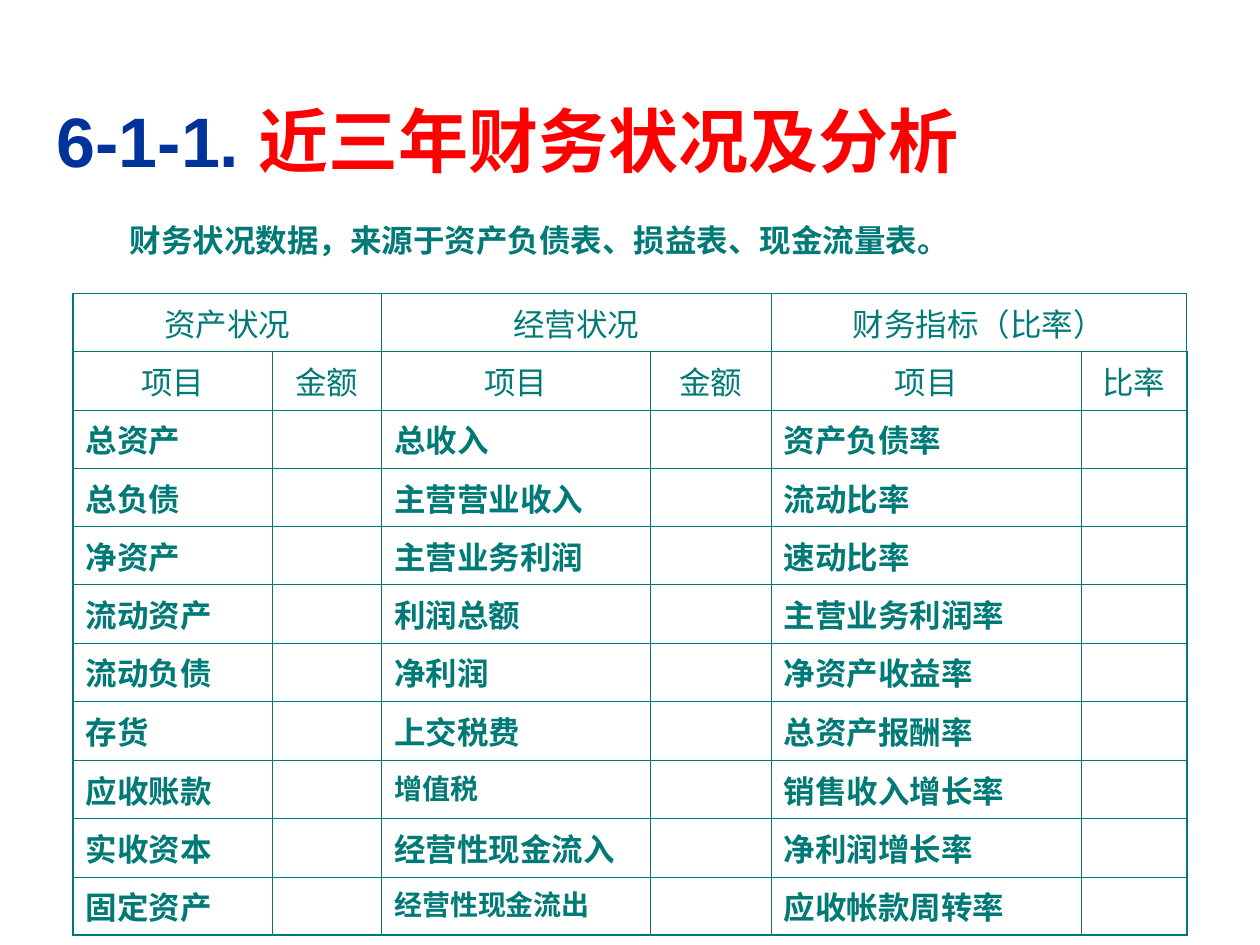
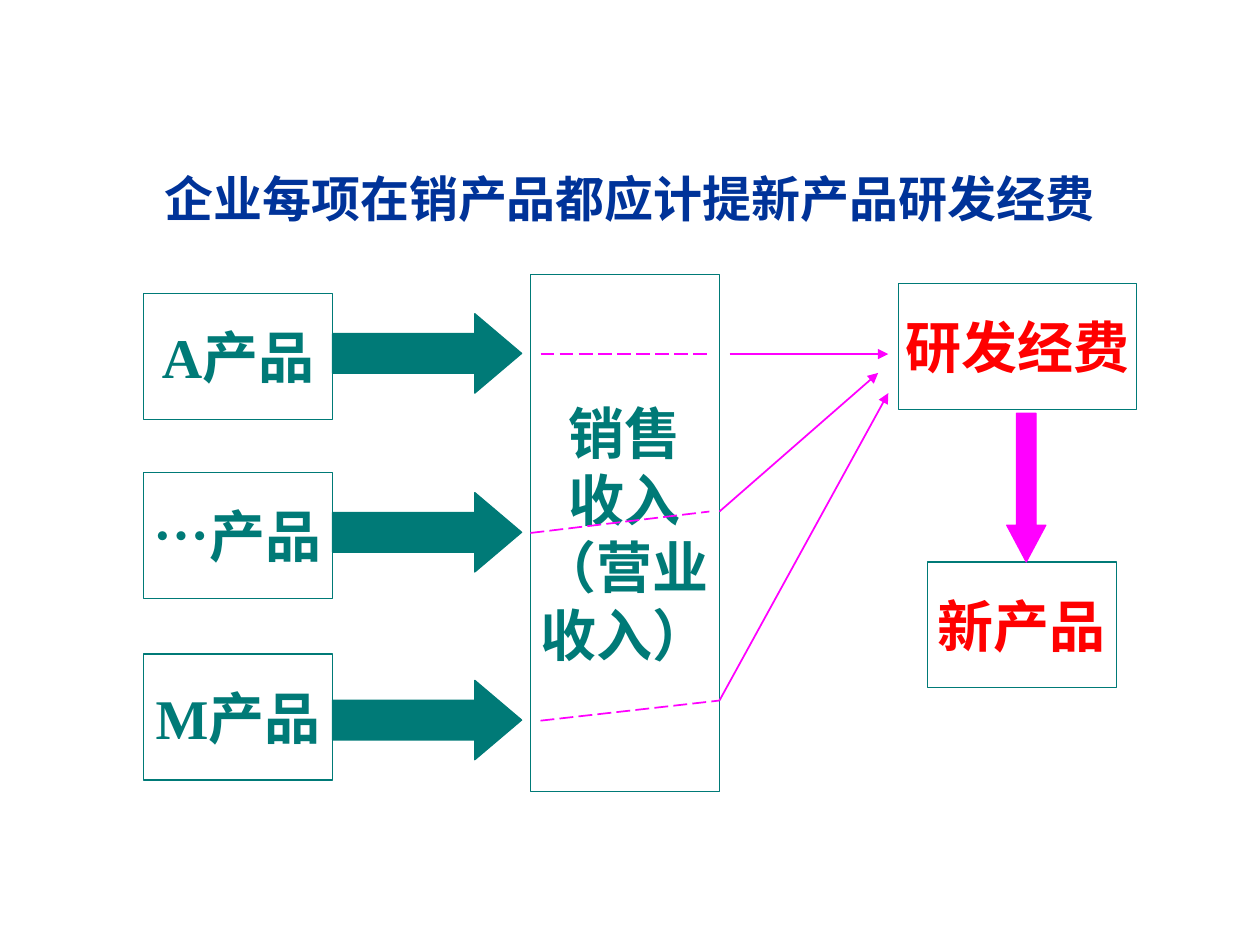
import pptx
import pptx.util
import pptx.dml.color
import pptx.enum.dml
import pptx.enum.shapes
import pptx.enum.text
import pptx.oxml
import pptx.oxml.ns

RGB = pptx.dml.color.RGBColor
TEAL = RGB(0x00, 0x7A, 0x77)
NAVY = RGB(0x00, 0x33, 0x99)
RED = RGB(0xFF, 0x00, 0x00)
MAGENTA = RGB(0xFF, 0x00, 0xFF)
SANS, SERIF, CJK = "Arial", "Times New Roman", "Noto Sans CJK SC"

# The slide is a grid of 100 columns and 75 rows of square units.
COLUMNS, ROWS = 100, 75
UNIT = pptx.util.Inches(0.1)

ALIGN = pptx.enum.text.PP_ALIGN
ANCHOR = pptx.enum.text.MSO_ANCHOR
SHAPE = pptx.enum.shapes.MSO_SHAPE
LEFT_SIDE = 1

TABLE_COLUMNS = [15.8, 8.7, 21.3, 9.6, 24.6, 8.4]
GROUPS = ["资产状况", "经营状况", "财务指标（比率）"]
HEADINGS = ["项目", "金额", "项目", "金额", "项目", "比率"]
ITEMS = [
    ("总资产", "总收入", "资产负债率"),
    ("总负债", "主营营业收入", "流动比率"),
    ("净资产", "主营业务利润", "速动比率"),
    ("流动资产", "利润总额", "主营业务利润率"),
    ("流动负债", "净利润", "净资产收益率"),
    ("存货", "上交税费", "总资产报酬率"),
    ("应收账款", "增值税", "销售收入增长率"),
    ("实收资本", "经营性现金流入", "净利润增长率"),
    ("固定资产", "经营性现金流出", "应收帐款周转率"),
]
SMALL_ITEMS = {"增值税", "经营性现金流出"}


def units(*lengths):
    return [round(n * UNIT) for n in lengths]


def place(shape, left, top, width, height):
    shape.left, shape.top, shape.width, shape.height = units(left, top, width, height)


def add_run(p, text, size=18, color=TEAL, bold=True, font=SANS):
    r = p.add_run()
    r.text = text
    r.font.size = pptx.util.Pt(size)
    r.font.bold = bold
    r.font.color.rgb = color
    r.font.name = font
    east_asian = pptx.oxml.parse_xml(
        f'<a:ea {pptx.oxml.ns.nsdecls("a")} typeface="{CJK}"/>')
    r.font._element.append(east_asian)


def write(tf, text, align=ALIGN.LEFT, **style):
    """Write each line of text as a paragraph in one style."""
    for i, line in enumerate(text.split("\n")):
        p = tf.add_paragraph() if i else tf.paragraphs[0]
        p.alignment = align
        p.space_before = pptx.util.Pt(0)
        add_run(p, line, **style)


def prepare_placeholder(shape, box, anchor):
    place(shape, *box)
    tf = shape.text_frame
    tf.auto_size = pptx.enum.text.MSO_AUTO_SIZE.NONE
    tf.word_wrap = True
    tf.vertical_anchor = anchor
    return tf


def add_block(s, kind, box, fill=None, line=TEAL):
    sp = s.shapes.add_shape(kind, *units(*box))
    sp.shadow.inherit = False
    if fill is None:
        sp.fill.background()
    else:
        sp.fill.solid()
        sp.fill.fore_color.rgb = fill
    sp.line.color.rgb = line
    sp.line.width = pptx.util.Pt(0.75)
    return sp


def add_label_box(s, box, text, color=TEAL):
    sp = add_block(s, SHAPE.RECTANGLE, box)
    tf = sp.text_frame
    tf.word_wrap = False
    tf.vertical_anchor = ANCHOR.MIDDLE
    write(tf, text, align=ALIGN.CENTER, size=32, color=color, font=SERIF)
    return sp


def add_block_arrow(s, kind, box, color, head):
    sp = add_block(s, kind, box, fill=color, line=color)
    sp.adjustments[0] = 0.5
    sp.adjustments[1] = head


def add_flow_line(s, start, end, dashed=False):
    """Draw a dashed line, or a solid one with an arrowhead."""
    line = s.shapes.add_connector(
        pptx.enum.shapes.MSO_CONNECTOR.STRAIGHT, *units(*start, *end))
    line.line.color.rgb = MAGENTA
    line.line.width = pptx.util.Pt(1)
    ns = pptx.oxml.ns.nsdecls("a")
    if dashed:
        line.line.dash_style = pptx.enum.dml.MSO_LINE.LONG_DASH
    else:
        ln = line.line._get_or_add_ln()
        ln.append(pptx.oxml.parse_xml(f'<a:tailEnd {ns} type="triangle"/>'))
    line._element.spPr.append(pptx.oxml.parse_xml(f"<a:effectLst {ns}/>"))
    return line


def style_cell(cell, row, col, last_row, last_col):
    """Clear the fill and rule the cell, heavier along the table's outside."""
    outer = {"L": col == 0, "R": col == last_col, "T": row == 0, "B": row == last_row}
    tcPr = cell._tc.get_or_add_tcPr()
    for side, is_outer in outer.items():
        width = pptx.util.Pt(1.08 if is_outer else 0.45)
        tcPr.append(pptx.oxml.parse_xml(
            f'<a:ln{side} {pptx.oxml.ns.nsdecls("a")} w="{width}"><a:solidFill>'
            f'<a:srgbClr val="{TEAL}"/></a:solidFill></a:ln{side}>'))
    cell.fill.background()


def add_finance_table(s):
    row_heights = [4.4] * (len(ITEMS) + 2)
    row_heights[7] = 4.7
    n_rows, n_cols = len(row_heights), len(TABLE_COLUMNS)
    box = units(5.8, 23.3, sum(TABLE_COLUMNS), sum(row_heights))
    table = s.shapes.add_table(n_rows, n_cols, *box).table
    table.first_row = table.horz_banding = False
    for column, width in zip(table.columns, units(*TABLE_COLUMNS)):
        column.width = width
    for row, height in zip(table.rows, units(*row_heights)):
        row.height = height
    for r in range(n_rows):
        for c in range(n_cols):
            style_cell(table.cell(r, c), r, c, n_rows - 1, n_cols - 1)

    heading = dict(align=ALIGN.CENTER, bold=False)
    for i, group in enumerate(GROUPS):
        cell = table.cell(0, 2 * i)
        cell.merge(table.cell(0, 2 * i + 1))
        write(cell.text_frame, group, **heading)
    for c, text in enumerate(HEADINGS):
        write(table.cell(1, c).text_frame, text, **heading)
    for r, items in enumerate(ITEMS, start=2):
        for i, item in enumerate(items):
            size = 16 if item in SMALL_ITEMS else 18
            write(table.cell(r, 2 * i).text_frame, item, size=size)


def build_finance_slide(prs):
    s = prs.slides.add_slide(prs.slide_layouts[1])
    tf = prepare_placeholder(s.shapes.title, (3.5, 6.7, 96.5, 8.8), ANCHOR.MIDDLE)
    write(tf, "6-1-1. ", size=40, color=NAVY)
    add_run(tf.paragraphs[0], "近三年财务状况及分析", size=40, color=RED)

    tf = prepare_placeholder(s.placeholders[1], (4.3, 17, 92.9, 4.7), ANCHOR.TOP)
    write(tf, "财务状况数据，来源于资产负债表、损益表、现金流量表。")
    pPr = tf.paragraphs[0]._p.get_or_add_pPr()
    pPr.set("marL", str(units(5)[0]))
    pPr.set("indent", "0")
    pPr.append(pptx.oxml.parse_xml(f'<a:buNone {pptx.oxml.ns.nsdecls("a")}/>'))
    add_finance_table(s)


def build_funding_slide(prs):
    s = prs.slides.add_slide(prs.slide_layouts[5])
    tf = prepare_placeholder(s.shapes.title, (9.8, 12.9, 80.3, 5.7), ANCHOR.TOP)
    write(tf, "企业每项在销产品都应计提新产品研发经费",
          align=ALIGN.CENTER, size=28, color=NAVY, font=CJK)

    products = [("A产品", 23.3, 24.9), ("…产品", 37.5, 39.1), ("M产品", 51.9, 54)]
    for name, box_top, arrow_top in products:
        add_label_box(s, (11.4, box_top, 15, 10), name)
        add_block_arrow(s, SHAPE.RIGHT_ARROW, (26.4, arrow_top, 15, 6.3), TEAL, 0.59)

    add_label_box(s, (73.6, 44.6, 15, 10), "新产品", color=RED)
    add_label_box(s, (71.3, 22.5, 18.9, 10), "研发经费", color=RED)
    revenue = add_label_box(s, (42.1, 21.8, 15, 41), "销售\n收入\n（营业\n收入）")

    add_flow_line(s, (57.9, 28.1), (70.5, 28.1))
    add_flow_line(s, (57.1, 40.6), (69.7, 29.6))
    add_flow_line(s, (57.1, 55.6), (70.5, 31.2))
    add_flow_line(s, (42.9, 28.1), (56.3, 28.1), dashed=True)
    middle = add_flow_line(s, (42.1, 42.2), (56.3, 40.6), dashed=True)
    middle.begin_connect(revenue, LEFT_SIDE)
    add_flow_line(s, (42.9, 57.2), (57.1, 55.6), dashed=True)
    add_block_arrow(s, SHAPE.DOWN_ARROW, (79.9, 32.8, 3.1, 11.8), MAGENTA, 0.94)


def main():
    prs = pptx.Presentation()
    prs.slide_width, prs.slide_height = units(COLUMNS, ROWS)
    build_finance_slide(prs)
    build_funding_slide(prs)
    prs.save("out.pptx")


if __name__ == "__main__":
    main()
